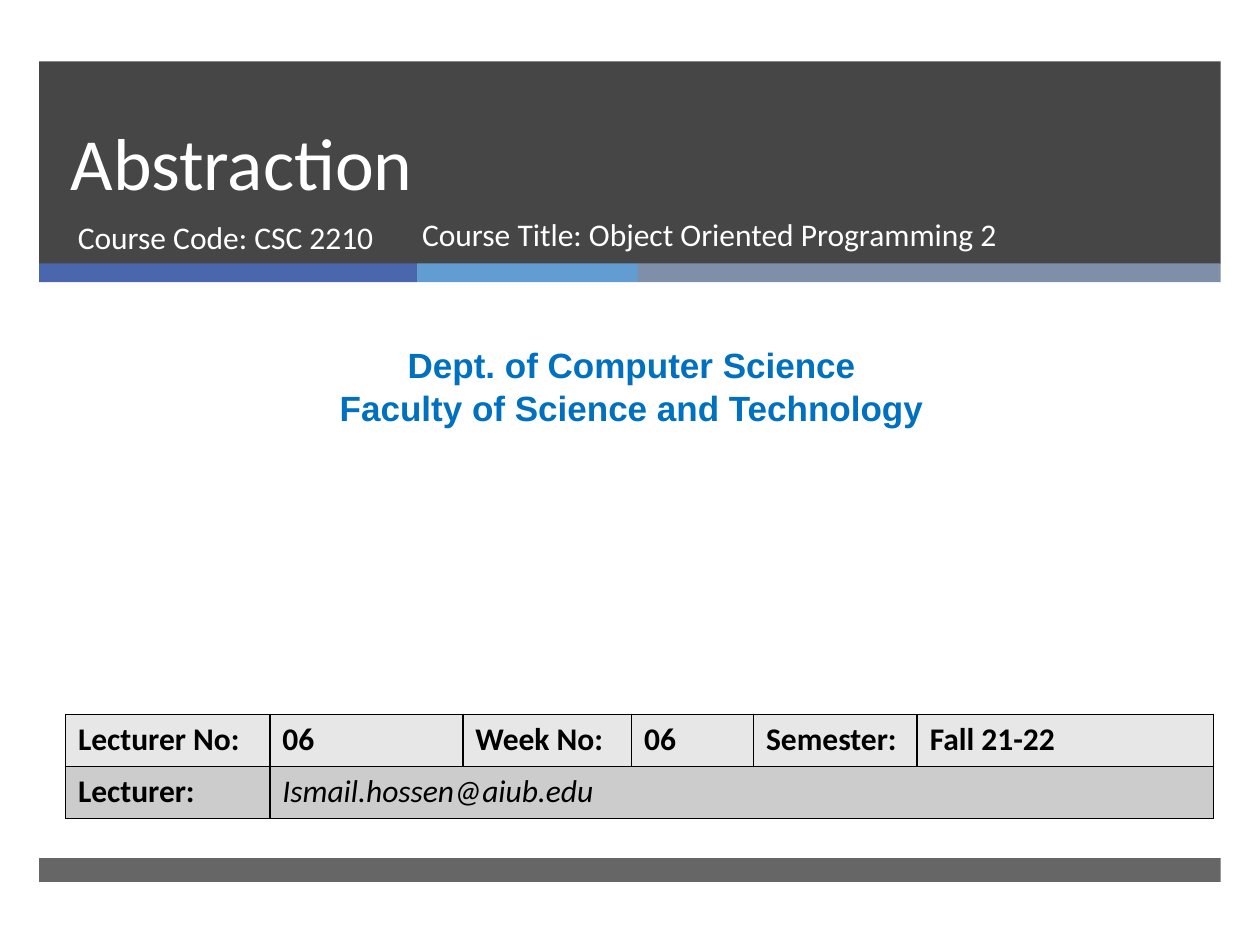
from lxml.etree import SubElement
from pptx import Presentation
from pptx.dml.color import RGBColor
from pptx.enum.shapes import MSO_SHAPE
from pptx.enum.text import MSO_ANCHOR, MSO_AUTO_SIZE, PP_ALIGN
from pptx.oxml import parse_xml
from pptx.oxml.ns import nsdecls, qn
from pptx.util import Cm, Pt

WHITE = RGBColor(0xFF, 0xFF, 0xFF)
BLACK = RGBColor(0x00, 0x00, 0x00)
CHARCOAL = RGBColor(0x26, 0x26, 0x26)
INDIGO = RGBColor(0x4A, 0x66, 0xAC)
SKY = RGBColor(0x62, 0x9D, 0xD1)
SLATE = RGBColor(0x7F, 0x8F, 0xA9)
DEPARTMENT_BLUE = RGBColor(0x00, 0x70, 0xC0)
LIGHT_GREY = RGBColor(0xE7, 0xE7, 0xE7)
MID_GREY = RGBColor(0xCC, 0xCC, 0xCC)

BAND_LEFT, BAND_WIDTH = 0.79, 23.82


class SlideBuilder:
    """Holds the slide and its text style; all lengths are in centimetres."""

    font_name = "Calibri"
    body_size = 18

    def __init__(self, slide):
        self.slide = slide

    def format_text(self, text_frame, size, color, font_name=None, bold=False,
                    italic=False, align=PP_ALIGN.LEFT):
        for paragraph in text_frame.paragraphs:
            paragraph.alignment = align
            for run in paragraph.runs:
                run.font.name = font_name or self.font_name
                run.font.size = Pt(size)
                run.font.bold = bold
                run.font.italic = italic
                run.font.color.rgb = color

    def bar(self, left, top, width, height, color, opacity=100):
        shape = self.slide.shapes.add_shape(
            MSO_SHAPE.RECTANGLE, Cm(left), Cm(top), Cm(width), Cm(height))
        shape.shadow.inherit = False
        shape.fill.solid()
        shape.fill.fore_color.rgb = color
        shape.line.fill.background()
        if opacity < 100:
            color_element = shape.element.spPr.find(qn("a:solidFill"))[0]
            SubElement(color_element, qn("a:alpha"), val=str(opacity * 1000))

    def title(self, left, top, width, height, text, size, line_spacing):
        title = self.slide.shapes.title
        title.left, title.top = Cm(left), Cm(top)
        title.width, title.height = Cm(width), Cm(height)
        # The placeholder comes first on the slide, so bring it above the band
        title.element.getparent().append(title.element)
        text_frame = title.text_frame
        text_frame.text = text
        text_frame.auto_size = MSO_AUTO_SIZE.NONE
        text_frame.vertical_anchor = MSO_ANCHOR.BOTTOM
        text_frame.paragraphs[0].line_spacing = Pt(line_spacing)
        self.format_text(text_frame, size, WHITE)

    def text(self, left, top, width, height, text, color, size=body_size, **style):
        box = self.slide.shapes.add_textbox(Cm(left), Cm(top), Cm(width), Cm(height))
        box.text_frame.word_wrap = True
        box.text_frame.text = text
        self.format_text(box.text_frame, size, color, **style)

    def border(self, cell):
        properties = cell._tc.get_or_add_tcPr()
        for position, side in enumerate(("lnL", "lnR", "lnT", "lnB")):
            properties.insert(position, parse_xml(
                f'<a:{side} {nsdecls("a")} w="12700"><a:solidFill>'
                f'<a:srgbClr val="{BLACK}"/></a:solidFill></a:{side}>'))

    def table(self, left, top, column_widths, row_height, rows, fills):
        table = self.slide.shapes.add_table(
            len(rows), len(column_widths), Cm(left), Cm(top),
            Cm(sum(column_widths)), Cm(row_height * len(rows))).table
        for column, width in zip(table.columns, column_widths):
            column.width = Cm(width)
        for row, values, fill in zip(table.rows, rows, fills):
            row.height = Cm(row_height)
            for index, cell in enumerate(row.cells):
                cell.fill.solid()
                cell.fill.fore_color.rgb = fill
                self.border(cell)
                if index < len(values):
                    cell.text = values[index]
                    is_email = "@" in values[index]
                    self.format_text(cell.text_frame, self.body_size, BLACK,
                                     bold=not is_email, italic=is_email)
        return table


def main():
    presentation = Presentation()
    presentation.slide_width, presentation.slide_height = Cm(25.4), Cm(19.05)
    slide = presentation.slides.add_slide(presentation.slide_layouts[5])
    builder = SlideBuilder(slide)

    # Header band, coloured stripe and footer band
    builder.bar(BAND_LEFT, 1.24, BAND_WIDTH, 4.08, CHARCOAL, opacity=85)
    stripe_left = BAND_LEFT
    for width, color in ((7.62, INDIGO), (4.45, SKY), (11.75, SLATE)):
        builder.bar(stripe_left, 5.31, width, 0.38, color)
        stripe_left += width
    builder.bar(BAND_LEFT, 17.3, BAND_WIDTH, 0.48, CHARCOAL, opacity=70)

    # Title and course details
    builder.title(1.17, 1.24, 21.69, 3.02, "Abstraction", size=42, line_spacing=46)
    builder.text(1.32, 4.27, 7.75, 1.35, "Course Code: CSC 2210", WHITE)
    builder.text(8.26, 4.22, 12.98, 1.35,
                 "Course Title: Object Oriented Programming 2", WHITE)

    # Department
    builder.text(0.2, 6.81, 25.07, 1.96,
                 "Dept. of Computer Science\nFaculty of Science and Technology",
                 DEPARTMENT_BLUE, size=20, font_name="Arial", bold=True,
                 align=PP_ALIGN.CENTER)

    # Lecture details
    table = builder.table(
        1.32, 14.4, (4.12, 3.89, 3.4, 2.46, 3.3, 5.97), 1.05,
        (("Lecturer No:", "06", "Week No:", "06", "Semester:", "Fall 21-22"),
         ("Lecturer:", "Ismail.hossen@aiub.edu")),
        (LIGHT_GREY, MID_GREY))
    table.cell(1, 1).merge(table.cell(1, 5))

    presentation.save("out.pptx")


if __name__ == "__main__":
    main()
